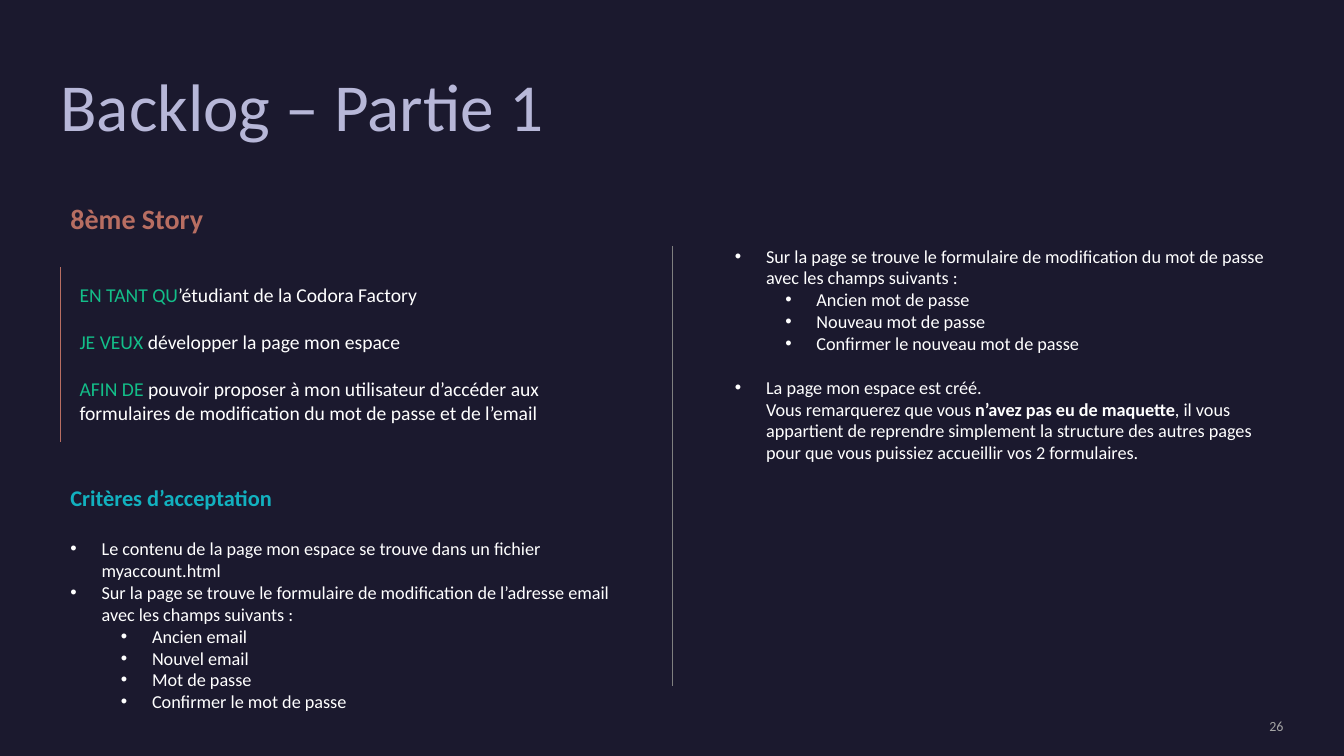
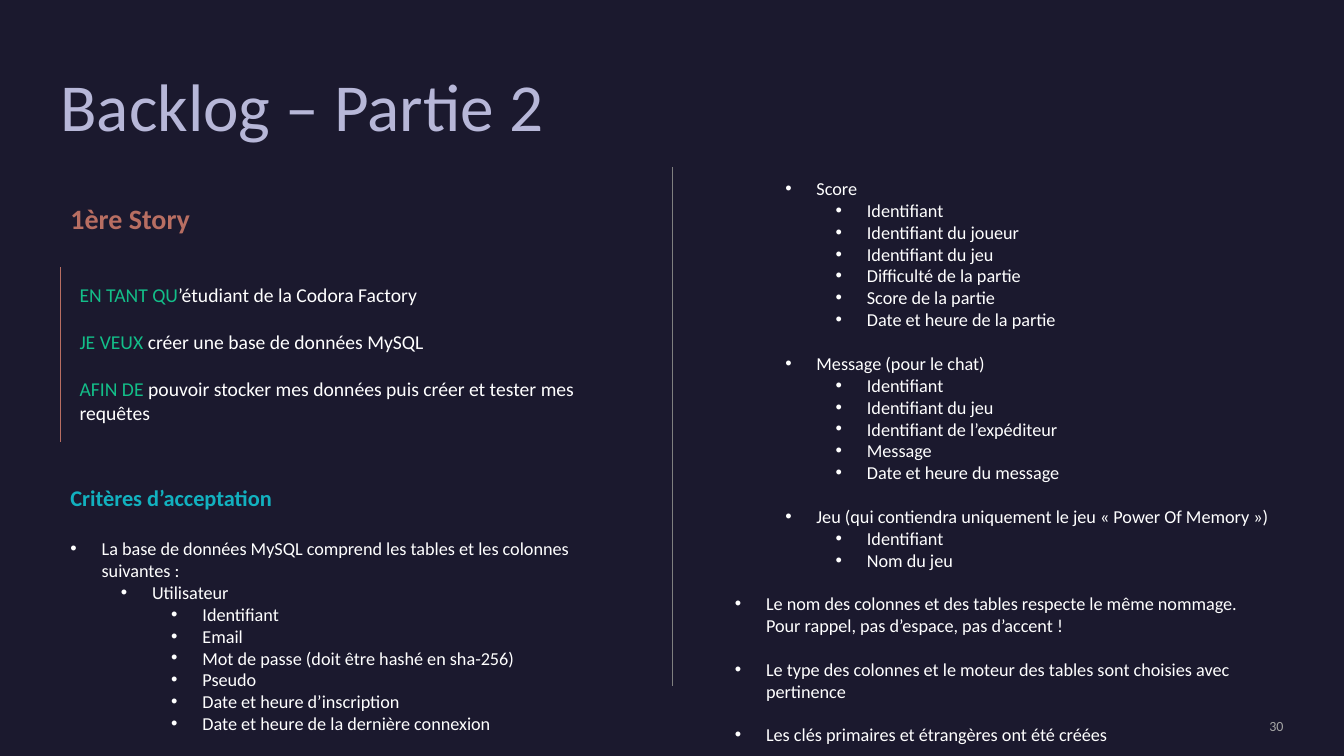
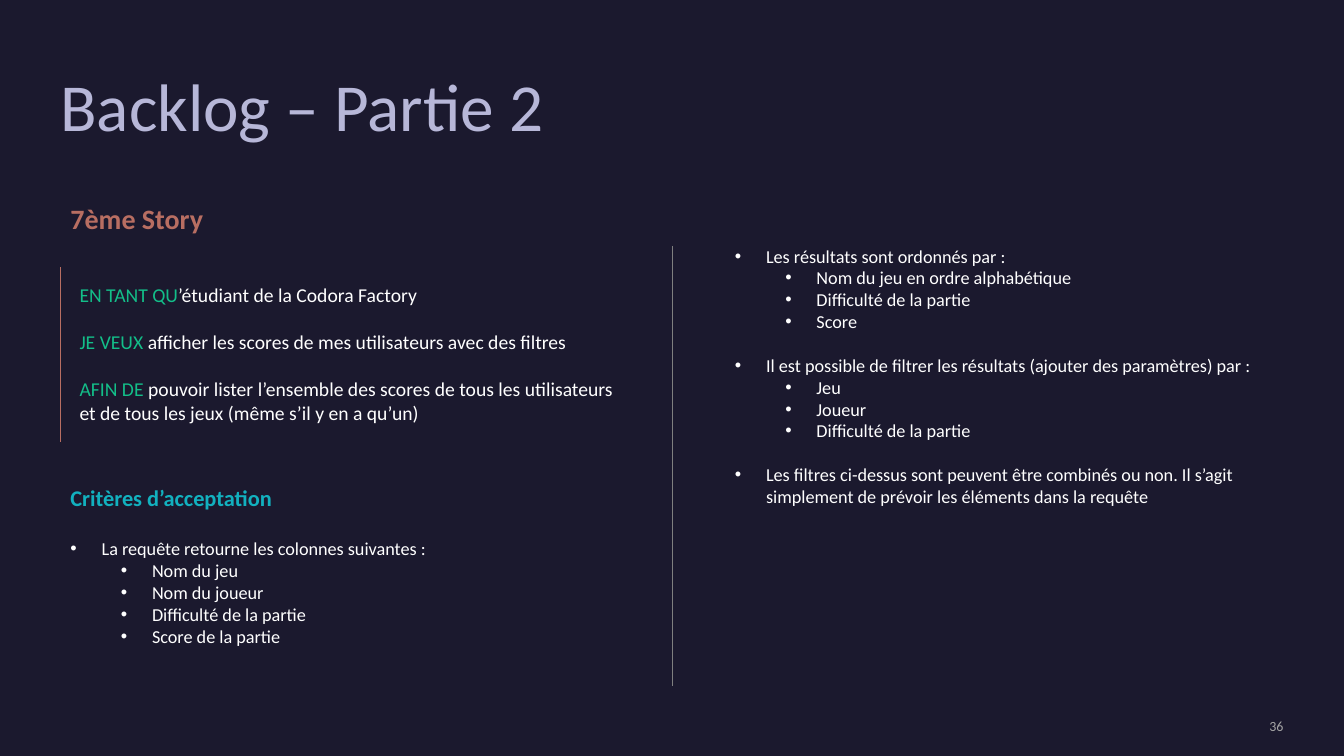
import pptx
import pptx.dml.color
import pptx.enum.shapes
import pptx.enum.text
import pptx.oxml.ns
import pptx.util
from lxml import etree

Inches, Pt = pptx.util.Inches, pptx.util.Pt
qn = pptx.oxml.ns.qn
ALIGN, ANCHOR = pptx.enum.text.PP_ALIGN, pptx.enum.text.MSO_ANCHOR

FONT = "Calibri"
BODY_SIZE, STORY_SIZE, HEADING_SIZE = 13, 14, 16
LINE_HEIGHT = 1.2
BULLET_INDENT, LEVEL_STEP = 0.31, 0.5
COLORS = {
    "background": "1B192E", "title": "B7B7D8", "story": "B86E62",
    "keyword": "13BE89", "criteria": "12B1BF", "text": "FFFFFF",
    "divider": "7F7F7F", "number": "A5A5A5",
}


def rgb(name):
    return pptx.dml.color.RGBColor.from_string(COLORS[name])


class Backlog:
    def __init__(self):
        self.presentation = pptx.Presentation()
        self.presentation.slide_width = Inches(13.33)
        self.presentation.slide_height = Inches(7.5)
        fill = self.presentation.slide_master.background.fill
        fill.solid()
        fill.fore_color.rgb = rgb("background")
        self.slide = None

    def format_runs(self, paragraph, color, size, bold=False):
        for run in paragraph.runs:
            run.font.name = FONT
            run.font.size = Pt(size)
            run.font.bold = bold
            run.font.color.rgb = rgb(color)
        for line_break in paragraph._p.findall(qn("a:br")):
            etree.SubElement(line_break, qn("a:rPr"), sz=str(size * 100))

    def new_slide(self, title, number):
        self.slide = self.presentation.slides.add_slide(self.presentation.slide_layouts[5])
        shape = self.slide.shapes.title
        shape.left, shape.top = Inches(0.6), Inches(0.73)
        shape.width, shape.height = Inches(9.84), Inches(1.71)
        frame = self.prepare_frame(shape, margins=(0, 0))
        frame.text = title
        paragraph = frame.paragraphs[0]
        paragraph.alignment = ALIGN.LEFT
        paragraph.line_spacing = 0.9
        self.format_runs(paragraph, "title", 48)

        frame = self.text_box(10.88, 7.12, 1.85, 0.17, margins=(0, 0))
        frame.vertical_anchor = ANCHOR.MIDDLE
        frame.text = str(number)
        frame.paragraphs[0].alignment = ALIGN.RIGHT
        self.format_runs(frame.paragraphs[0], "number", 10)

    def prepare_frame(self, shape, margins=(0.1, 0.05)):
        frame = shape.text_frame
        frame.word_wrap = True
        frame.auto_size = pptx.enum.text.MSO_AUTO_SIZE.NONE
        frame.vertical_anchor = ANCHOR.TOP
        frame.margin_left = frame.margin_right = Inches(margins[0])
        frame.margin_top = frame.margin_bottom = Inches(margins[1])
        return frame

    def text_box(self, left, top, width, height, margins=(0.1, 0.05)):
        shape = self.slide.shapes.add_textbox(
            Inches(left), Inches(top), Inches(width), Inches(height))
        return self.prepare_frame(shape, margins)

    def vertical_line(self, left, top, bottom, color, width):
        line = self.slide.shapes.add_connector(
            pptx.enum.shapes.MSO_CONNECTOR.STRAIGHT,
            Inches(left), Inches(top), Inches(left), Inches(bottom))
        line.line.color.rgb = rgb(color)
        line.line.width = Pt(width)
        etree.SubElement(line._element.spPr, qn("a:effectLst"))

    def story(self, name, wish, purpose):
        frame = self.text_box(0.6, 1.95, 6.41, 0.44)
        frame.text = name
        self.format_runs(frame.paragraphs[0], "story", 20, bold=True)

        frame = self.text_box(0.69, 2.76, 5.58, 1.51)
        sentences = [("EN TANT QU", "’étudiant de la Codora Factory"),
                     ("JE VEUX ", wish), ("AFIN DE ", purpose)]
        for index, (keyword, rest) in enumerate(sentences):
            paragraph = frame.paragraphs[0] if index == 0 else frame.add_paragraph()
            paragraph.add_run().text = keyword
            paragraph.add_run().text = rest
            self.format_runs(paragraph, "text", STORY_SIZE)
            paragraph.runs[0].font.color.rgb = rgb("keyword")
            if index:
                paragraph.space_before = Pt(STORY_SIZE * LINE_HEIGHT)
        self.vertical_line(0.6, 2.65, 4.39, "story", 1)

    def bullet(self, paragraph, level, text):
        """Write one bullet; a part between ** marks is bold."""
        paragraph.level = level
        properties = paragraph._p.get_or_add_pPr()
        properties.set("marL", str(Inches(BULLET_INDENT + LEVEL_STEP * level)))
        properties.set("indent", str(-Inches(BULLET_INDENT)))
        color = etree.SubElement(properties, qn("a:buClr"))
        etree.SubElement(color, qn("a:srgbClr"), val=COLORS["text"])
        etree.SubElement(properties, qn("a:buFont"), typeface="Arial")
        etree.SubElement(properties, qn("a:buChar"), char="•")
        parts = text.split("**")
        paragraph.text = parts[0]
        for part in parts[1:]:
            paragraph.add_run().text = part
        self.format_runs(paragraph, "text", BODY_SIZE)
        if len(parts) > 1:
            paragraph.runs[-2].font.bold = True

    def bullet_groups(self, frame, groups):
        """Write groups of (level, text), one blank line's height apart."""
        for group_index, group in enumerate(groups):
            for index, (level, text) in enumerate(group):
                first = frame.paragraphs[0]
                paragraph = first if not first.text else frame.add_paragraph()
                self.bullet(paragraph, level, text)
                if group_index and index == 0:
                    paragraph.space_before = Pt(BODY_SIZE * LINE_HEIGHT)

    def criteria(self, height, bullets):
        frame = self.text_box(0.6, 4.75, 5.7, height)
        frame.text = "Critères d’acceptation"
        heading = frame.paragraphs[0]
        self.format_runs(heading, "criteria", HEADING_SIZE, bold=True)
        heading.space_after = Pt(HEADING_SIZE * LINE_HEIGHT)
        self.bullet_groups(frame, [bullets])

    def right_column(self, groups, height, top=2.38, divider_top=2.44):
        self.vertical_line(6.67, divider_top, 6.81, "divider", 0.75)
        self.bullet_groups(self.text_box(7.19, top, 5.67, height), groups)


def outline(level, heading, *children):
    return [(level, heading)] + [(level + 1, child) for child in children]


def main():
    backlog = Backlog()

    backlog.new_slide("Backlog – Partie 1", 26)
    backlog.story(
        "8ème Story", "développer la page mon espace",
        "pouvoir proposer à mon utilisateur d’accéder aux formulaires de "
        "modification du mot de passe et de l’email")
    backlog.criteria(2.88, [
        (0, "Le contenu de la page mon espace se trouve dans un fichier myaccount.html"),
        *outline(0, "Sur la page se trouve le formulaire de modification de l’adresse "
                    "email avec les champs suivants :",
                 "Ancien email", "Nouvel email", "Mot de passe",
                 "Confirmer le mot de passe")])
    backlog.right_column([
        outline(0, "Sur la page se trouve le formulaire de modification du mot de passe "
                   "avec les champs suivants :",
                "Ancien mot de passe", "Nouveau mot de passe",
                "Confirmer le nouveau mot de passe"),
        outline(0, "La page mon espace est créé. \nVous remarquerez que vous "
                   "**n’avez pas eu de maquette**, il vous appartient de reprendre "
                   "simplement la structure des autres pages pour que vous puissiez "
                   "accueillir vos 2 formulaires."),
    ], height=2.51)

    backlog.new_slide("Backlog – Partie 2", 30)
    backlog.story(
        "1ère Story", "créer une base de données MySQL",
        "pouvoir stocker mes données puis créer et tester mes requêtes")
    backlog.criteria(2.64, [
        (0, "La base de données MySQL comprend les tables et les colonnes suivantes :"),
        *outline(1, "Utilisateur", "Identifiant", "Email",
                 "Mot de passe (doit être hashé en sha-256)", "Pseudo",
                 "Date et heure d’inscription",
                 "Date et heure de la dernière connexion")])
    backlog.right_column([
        outline(1, "Score", "Identifiant", "Identifiant du joueur", "Identifiant du jeu",
                "Difficulté de la partie", "Score de la partie",
                "Date et heure de la partie"),
        outline(1, "Message (pour le chat)", "Identifiant", "Identifiant du jeu",
                "Identifiant de l’expéditeur", "Message", "Date et heure du message"),
        outline(1, "Jeu (qui contiendra uniquement le jeu « Power Of Memory »)",
                "Identifiant", "Nom du jeu"),
        outline(0, "Le nom des colonnes et des tables respecte le même nommage. \n"
                   "Pour rappel, pas d’espace, pas d’accent !"),
        outline(0, "Le type des colonnes et le moteur des tables sont choisies avec "
                   "pertinence"),
        outline(0, "Les clés primaires et étrangères ont été créées"),
    ], height=6.01, top=1.71, divider_top=1.66)

    backlog.new_slide("Backlog – Partie 2", 36)
    backlog.story(
        "7ème Story", "afficher les scores de mes utilisateurs avec des filtres",
        "pouvoir lister l’ensemble des scores de tous les utilisateurs et de tous "
        "les jeux (même s’il y en a qu’un)")
    backlog.criteria(1.95, outline(
        0, "La requête retourne les colonnes suivantes :", "Nom du jeu",
        "Nom du joueur", "Difficulté de la partie", "Score de la partie"))
    backlog.right_column([
        outline(0, "Les résultats sont ordonnés par :", "Nom du jeu en ordre alphabétique",
                "Difficulté de la partie", "Score"),
        outline(0, "Il est possible de filtrer les résultats (ajouter des paramètres) par :",
                "Jeu", "Joueur", "Difficulté de la partie"),
        outline(0, "Les filtres ci-dessus sont peuvent être combinés ou non. Il s’agit "
                   "simplement de prévoir les éléments dans la requête"),
    ], height=2.73)

    backlog.presentation.save("out.pptx")


if __name__ == "__main__":
    main()
